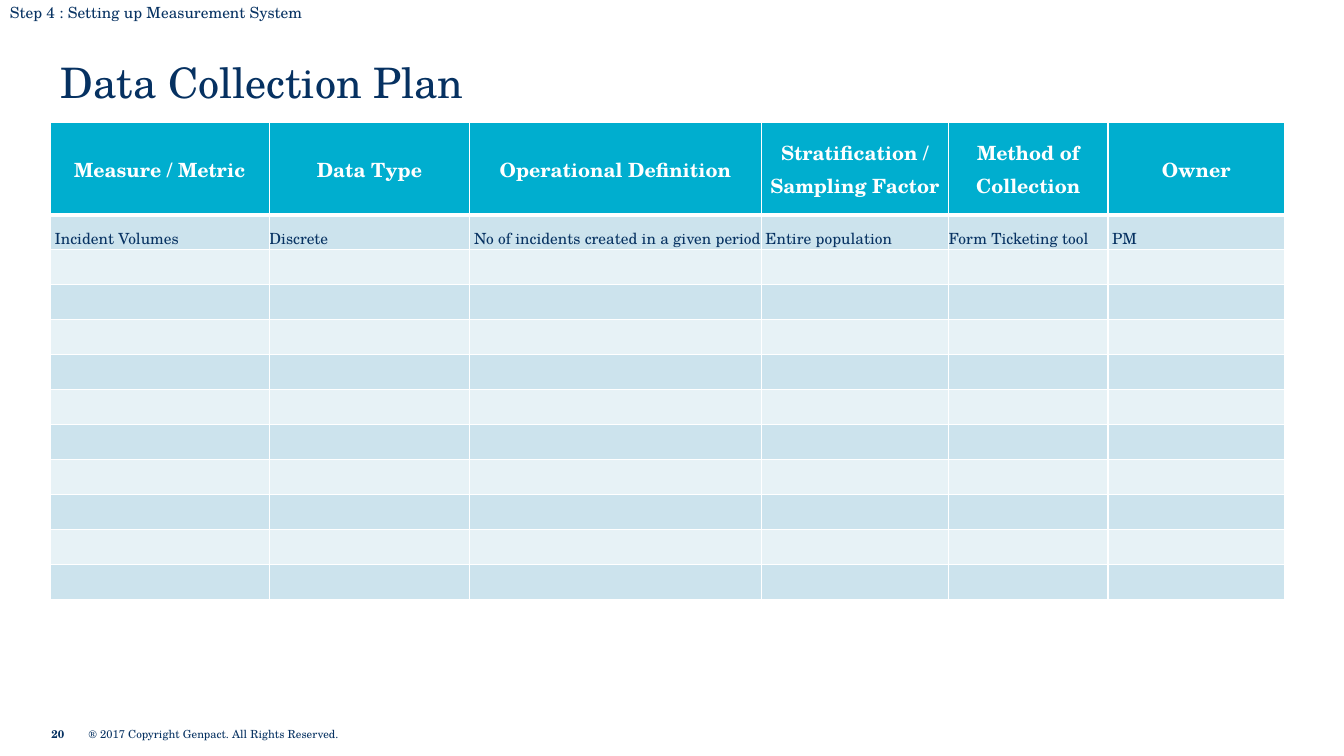
from lxml.etree import SubElement
from pptx import Presentation
from pptx.dml.color import RGBColor
from pptx.enum.text import MSO_ANCHOR as Anchor, MSO_AUTO_SIZE as AutoSize, PP_ALIGN as Align
from pptx.oxml import parse_xml
from pptx.oxml.ns import nsdecls, qn
from pptx.util import Inches, Pt

FONT = "TeX Gyre Schola"
COLORS = {"navy": "073262", "title": "063161", "head": "00AECF",
          "band": "CCE3ED", "light": "E7F2F6", "white": "FFFFFF"}
WIDTH, HEIGHT = Inches(13.33), Inches(7.5)

# Column widths in percent of the slide width, row heights in percent of its height
COLUMNS = [16.28, 14.93, 21.68, 13.95, 11.85, 13.13]
HEAD_ROW, BODY_ROW, BODY_ROWS = 12.27, 4.63, 11
HEADERS = ["Measure / Metric", "Data Type", "Operational Definition",
           "Stratification / Sampling Factor", "Method of Collection", "Owner"]
# Each entry of the first body row: text and whether it is indented
ENTRIES = [("Incident Volumes", True), ("Discrete", False),
           ("No of incidents created in a given period", True),
           ("Entire population", True), ("Form Ticketing tool", False), ("PM", True)]


def across(percent):
    return int(WIDTH * percent / 100)


def down(percent):
    return int(HEIGHT * percent / 100)


def area(x, y, w, h):
    return across(x), down(y), across(w), down(h)


def style(p, size, color, bold=False):
    for r in p.runs:
        r.font.name, r.font.size, r.font.bold = FONT, Pt(size), bold
        r.font.color.rgb = RGBColor.from_string(COLORS[color])


def set_margins(item, margin):
    item.margin_left = item.margin_right = item.margin_top = item.margin_bottom = margin


def add_text(slide, place, text, size, bold=False, flush=True):
    tf = slide.shapes.add_textbox(*area(*place)).text_frame
    tf.word_wrap = True
    if flush:
        set_margins(tf, 0)
        tf.vertical_anchor = Anchor.MIDDLE
    tf.text = text
    style(tf.paragraphs[0], size, "navy", bold)


def add_title(slide, place, text):
    sp = slide.shapes.title
    sp.left, sp.top, sp.width, sp.height = area(*place)
    tf = sp.text_frame
    tf.text = text
    tf.auto_size = AutoSize.NONE
    tf.vertical_anchor = Anchor.MIDDLE
    p = tf.paragraphs[0]
    p.alignment = Align.LEFT
    style(p, 30, "title")


def format_cell(cell, fill, top=1, bottom=1):
    set_margins(cell, 0)
    cell.fill.solid()
    cell.fill.fore_color.rgb = RGBColor.from_string(COLORS[fill])
    tcPr = cell._tc.get_or_add_tcPr()
    widths = {"lnL": 1, "lnR": 1, "lnT": top, "lnB": bottom}
    for i, (side, width) in enumerate(widths.items()):
        tcPr.insert(i, parse_xml(
            f'<a:{side} {nsdecls("a")} w="{Pt(width)}"><a:solidFill>'
            f'<a:srgbClr val="{COLORS["white"]}"/></a:solidFill></a:{side}>'))


def fill_header(cell, text):
    format_cell(cell, "head", bottom=3)
    cell.vertical_anchor = Anchor.MIDDLE
    cell.text = text
    p = cell.text_frame.paragraphs[0]
    p.alignment = Align.CENTER
    p.line_spacing = 1.07
    style(p, 14, "white", bold=True)


def fill_entry(cell, text, indented):
    cell.vertical_anchor = Anchor.BOTTOM
    cell.text = text
    p = cell.text_frame.paragraphs[0]
    if indented:
        p._p.get_or_add_pPr().set("indent", str(Pt(3)))
    style(p, 11, "navy")


def add_plan(slide, x, y):
    place = area(x, y, sum(COLUMNS), HEAD_ROW + BODY_ROWS * BODY_ROW)
    table = slide.shapes.add_table(BODY_ROWS + 1, len(COLUMNS), *place).table
    for column, width in zip(table.columns, COLUMNS):
        column.width = across(width)
    for i, row in enumerate(table.rows):
        row.height = down(BODY_ROW if i else HEAD_ROW)
        for j, cell in enumerate(row.cells):
            if i == 0:
                fill_header(cell, HEADERS[j])
                continue
            format_cell(cell, "band" if i % 2 else "light", top=3 if i == 1 else 1)
            if i == 1:
                fill_entry(cell, *ENTRIES[j])
            else:
                # A small text size keeps the empty rows at their set height
                p = cell.text_frame.paragraphs[0]
                SubElement(p._p, qn("a:endParaRPr"), sz="1100")


def main():
    prs = Presentation()
    prs.slide_width, prs.slide_height = WIDTH, HEIGHT
    slide = prs.slides.add_slide(prs.slide_layouts[5])

    # Footer
    add_text(slide, (3.83, 95.47, 5.63, 3.2), "20", 8, bold=True)
    add_text(slide, (6.6, 95.47, 19.35, 3.2),
             "® 2017 Copyright Genpact. All Rights Reserved.", 8)

    # Title, plan table and step label
    add_title(slide, (3.75, 6.93, 59.34, 7.73), "Data Collection Plan")
    add_plan(slide, 3.75, 16.13)
    add_text(slide, (0, -0.27, 40.81, 3.87),
             "Step 4 : Setting up Measurement System", 11, flush=False)

    prs.save("out.pptx")


if __name__ == "__main__":
    main()
